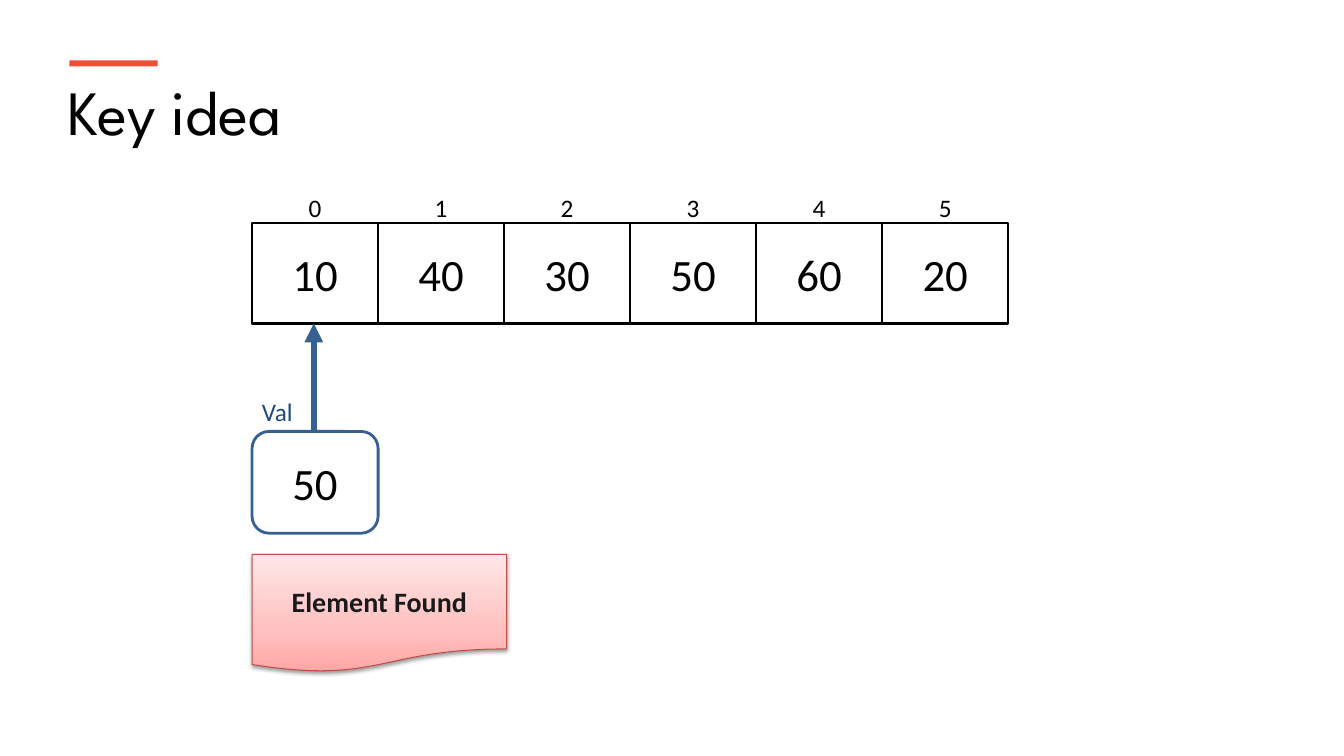
from copy import deepcopy
from dataclasses import dataclass

from pptx import Presentation
from pptx import util as u
from pptx.dml import color
from pptx.enum import shapes, text
from pptx.oxml import ns, parse_xml

COLUMN, ROW = 1.25, 1.0
ARRAY_COLUMN, ARRAY_ROW = 2, 2.21
BLACK, WHITE, BLUE = "000000", "FFFFFF", "376092"
VALUES = [10, 40, 30, 50, 60, 20]
KIND = shapes.MSO_SHAPE


@dataclass
class Area:
    column: float
    row: float
    columns: float
    rows: float

    def place(self) -> list[int]:
        return [u.Inches(self.column * COLUMN), u.Inches(self.row * ROW),
                u.Inches(self.columns * COLUMN), u.Inches(self.rows * ROW)]


@dataclass
class Label:
    words: str
    size: float
    color: str = BLACK
    font: str = "Calibri"
    bold: bool = False


@dataclass
class Box:
    area: Area
    kind: KIND = KIND.RECTANGLE
    fill: str = WHITE
    line: str | None = BLACK
    line_width: float = 1.5
    label: Label | None = None


def rgb(value: str) -> color.RGBColor:
    return color.RGBColor.from_string(value)


def write(shape, label: Label, alignment=text.PP_ALIGN.LEFT) -> None:
    frame = shape.text_frame
    frame.word_wrap = True
    frame.text = label.words
    paragraph = frame.paragraphs[0]
    paragraph.alignment = alignment
    font = paragraph.runs[0].font
    font.name, font.size, font.bold = label.font, u.Pt(label.size), label.bold
    font.color.rgb = rgb(label.color)


def draw_text(slide, area: Area, label: Label) -> None:
    write(slide.shapes.add_textbox(*area.place()), label)


def draw_box(slide, box: Box):
    shape = slide.shapes.add_shape(box.kind, *box.area.place())
    shape.shadow.inherit = False
    shape.fill.solid()
    shape.fill.fore_color.rgb = rgb(box.fill)
    if box.line:
        shape.line.color.rgb = rgb(box.line)
        shape.line.width = u.Pt(box.line_width)
    else:
        shape.line.fill.background()
    if box.label:
        shape.text_frame.vertical_anchor = text.MSO_ANCHOR.MIDDLE
        write(shape, box.label, text.PP_ALIGN.CENTER)
    return shape


def draw_arrow(slide, column: float, start_row: float, end_row: float) -> None:
    x = u.Inches(column * COLUMN)
    arrow = slide.shapes.add_connector(
        shapes.MSO_CONNECTOR.STRAIGHT,
        x, u.Inches(start_row * ROW), x, u.Inches(end_row * ROW))
    arrow.line.color.rgb = rgb(BLUE)
    arrow.line.width = u.Pt(4.5)
    arrow.line._get_or_add_ln().append(
        parse_xml(f'<a:tailEnd {ns.nsdecls("a")} type="triangle"/>'))
    arrow._element.spPr.append(parse_xml(f'<a:effectLst {ns.nsdecls("a")}/>'))


def shade(shape, stops: list[tuple[float, str]]) -> None:
    shape.fill.gradient()
    shape.fill.gradient_angle = 90
    stop_list = shape._element.spPr.find(".//" + ns.qn("a:gsLst"))
    stop_list.append(deepcopy(stop_list[-1]))
    for stop, (position, value) in zip(shape.fill.gradient_stops, stops):
        stop.position = position
        stop.color.rgb = rgb(value)


def cast_shadow(shape) -> None:
    shape._element.spPr.find(ns.qn("a:effectLst")).append(parse_xml(
        f'<a:outerShdw {ns.nsdecls("a")} blurRad="{u.Pt(3.1)}" '
        f'dist="{u.Pt(1.6)}" dir="5400000" rotWithShape="0">'
        '<a:srgbClr val="000000"><a:alpha val="38000"/></a:srgbClr>'
        '</a:outerShdw>'))


def main() -> None:
    presentation = Presentation()
    presentation.slide_width = u.Inches(13.33)
    presentation.slide_height = u.Inches(7.5)
    slide = presentation.slides.add_slide(presentation.slide_layouts[6])

    draw_text(slide, Area(0.46, 0.67, 9.67, 0.86),
              Label("Key idea", 45, font="League Spartan"))
    draw_box(slide, Box(Area(0.55, 0.6, 0.7, 0.06), fill="F05136", line=None))

    for index, value in enumerate(VALUES):
        column = ARRAY_COLUMN + index
        draw_box(slide, Box(Area(column, ARRAY_ROW, 1, 1),
                            label=Label(str(value), 32)))
        draw_text(slide, Area(column + 0.37, ARRAY_ROW - 0.35, 0.26, 0.4),
                  Label(str(index), 18))

    draw_box(slide, Box(Area(ARRAY_COLUMN, 4.28, 1, 1.01),
                        KIND.ROUNDED_RECTANGLE, line=BLUE, line_width=2,
                        label=Label("50", 32)))
    draw_text(slide, Area(ARRAY_COLUMN, 3.88, 0.54, 0.4),
              Label("Val", 18, "1F497D"))
    draw_arrow(slide, ARRAY_COLUMN + 0.49, 4.29, ARRAY_ROW + 1)

    result = draw_box(slide, Box(
        Area(ARRAY_COLUMN, 5.5, 2.02, 1.17), KIND.FLOWCHART_DOCUMENT,
        line="BF4C48", line_width=0.75,
        label=Label("Element Found", 20, "1A1A1A", bold=True)))
    shade(result, [(0, "FFA6A5"), (0.35, "FFC0BF"), (1, "FFE7E7")])
    cast_shadow(result)

    presentation.save("out.pptx")


if __name__ == "__main__":
    main()
